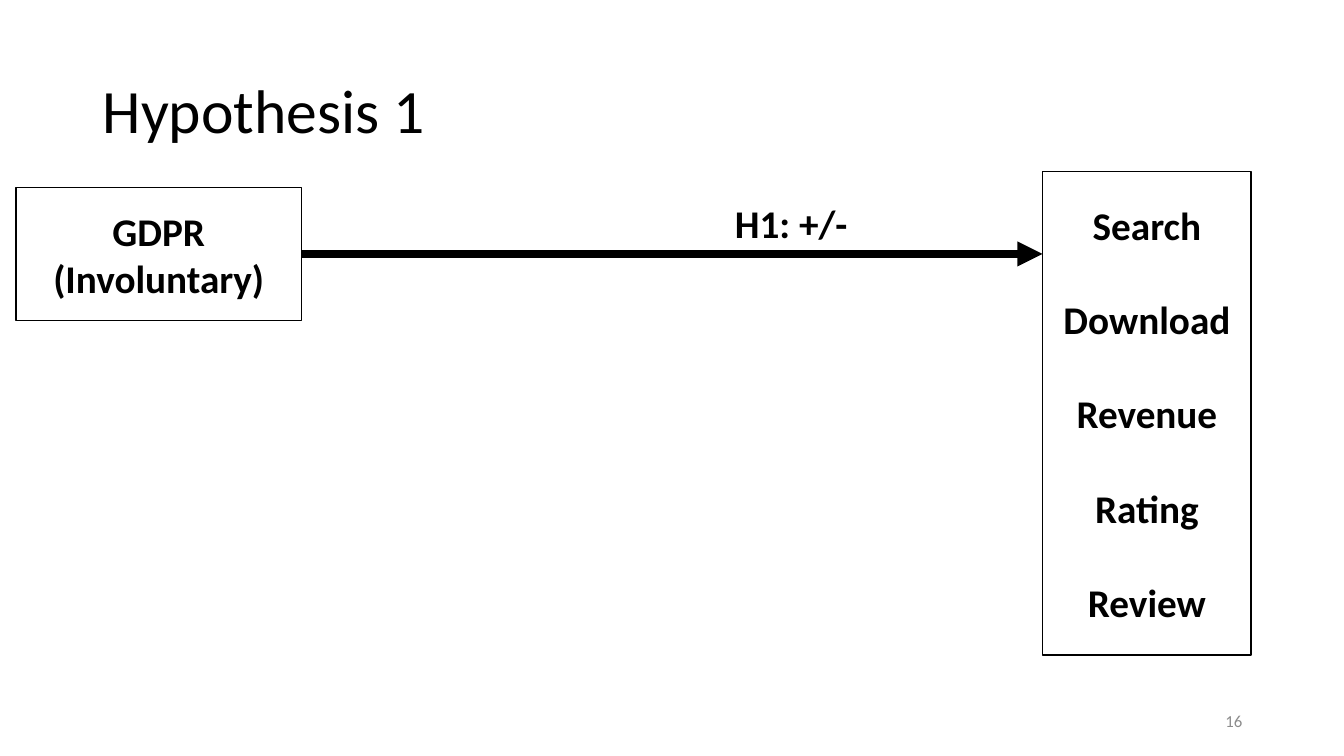
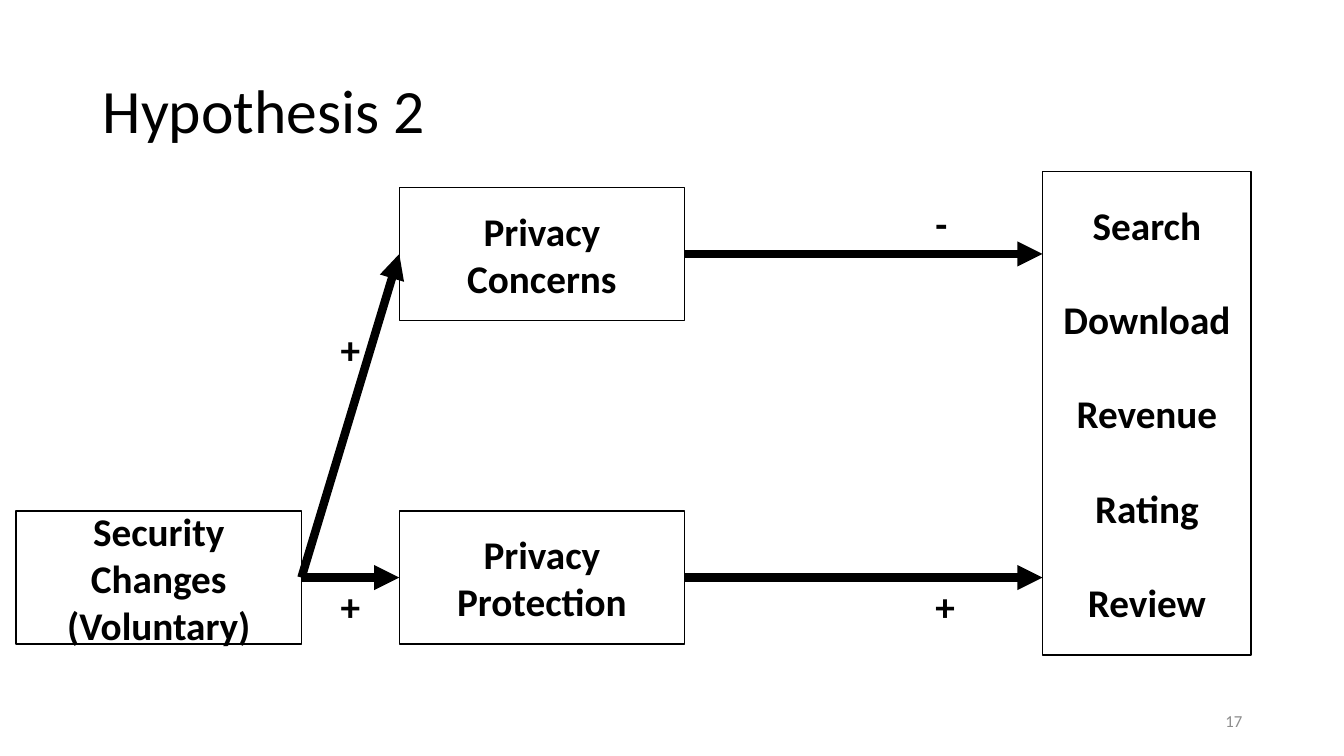
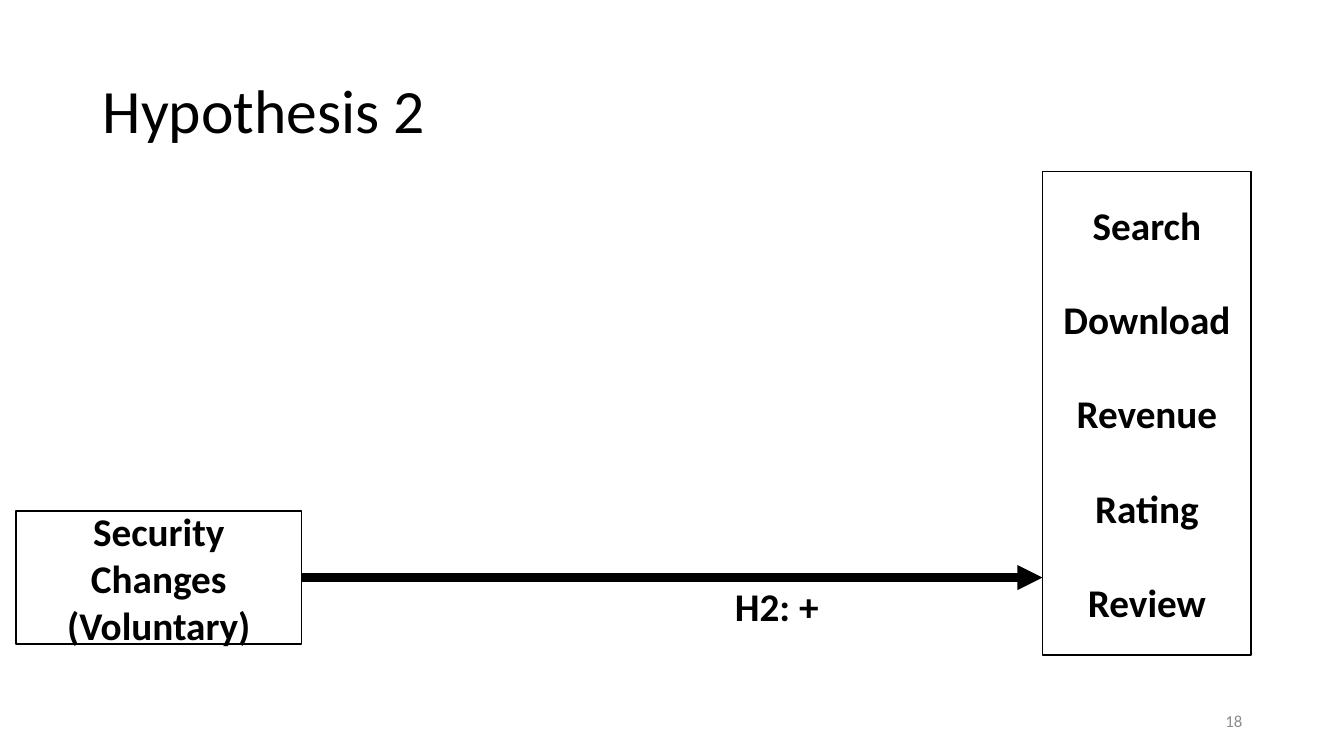
from collections import namedtuple
from dataclasses import dataclass

from pptx import Presentation, util as u
from pptx.dml.color import RGBColor
from pptx.enum import shapes, text
from pptx.oxml import parse_xml
from pptx.oxml.ns import nsdecls, qn


@dataclass(frozen=True)
class Theme:
    font: str = "Calibri"
    ink: str = "000000"
    paper: str = "FFFFFF"
    muted: str = "8C8C8C"
    title: float = 44
    body: float = 28
    small: float = 12
    outline: float = 1
    arrow: float = 6


Box = namedtuple("Box", "x y w h")
T = Theme()

# Grid of the diagram, in inches
SLIDE_W, SLIDE_H = 13.33, 7.5
NODE_W, NODE_H = 2.83, 1.32
COLS = {"cause": 0.16, "mediator": 3.96}
ROWS = {"upper": 1.86, "lower": 5.07}
LABEL_COLS = {"link": 3.28, "hypothesis": 7.19, "sign": 9.18}
LABEL_H = 0.57
TITLE = Box(0.92, 0.4, 11.5, 1.45)
NUMBER = Box(9.42, 6.95, 3, 0.4)
OUTCOME = Box(10.34, 1.7, 2.07, 4.8)
OUTCOMES = ["Search", "Download", "Revenue", "Rating", "Review"]
CENTRE, RIGHT = text.PP_ALIGN.CENTER, text.PP_ALIGN.RIGHT
LEFT_SITE, RIGHT_SITE = 1, 3


def inches(*values):
    return [u.Inches(v) for v in values]


def row_centre(row):
    return ROWS[row] + NODE_H / 2


def write(sp, lines, size=T.body, bold=True, color=T.ink, align=None,
          anchor=text.MSO_ANCHOR.MIDDLE, wrap=True, spacing=None, gap=0):
    tf = sp.text_frame
    tf.word_wrap, tf.vertical_anchor = wrap, anchor
    font = {"name": T.font, "size": u.Pt(size), "bold": bold}
    for i, line in enumerate(lines):
        p = tf.paragraphs[0] if i == 0 else tf.add_paragraph()
        p.alignment, p.line_spacing = align, spacing
        if i and gap:
            p.space_before = u.Pt(gap)
        r = p.add_run()
        r.text = line
        for key, value in font.items():
            setattr(r.font, key, value)
        r.font.color.rgb = RGBColor.from_string(color)


def add_text(s, box, line, **style):
    write(s.shapes.add_textbox(*inches(*box)), [line], **style)


def add_box(s, box, lines, gap=0):
    sp = s.shapes.add_shape(shapes.MSO_SHAPE.RECTANGLE, *inches(*box))
    sp.shadow.inherit = False
    sp.fill.solid()
    sp.fill.fore_color.rgb = RGBColor.from_string(T.paper)
    sp.line.color.rgb = RGBColor.from_string(T.ink)
    sp.line.width = u.Pt(T.outline)
    write(sp, lines, align=CENTRE, gap=gap)
    return sp


def add_node(s, col, row, *lines):
    return add_box(s, Box(COLS[col], ROWS[row], NODE_W, NODE_H), lines)


def add_outcomes(s):
    # One empty line's height between the measures
    add_box(s, OUTCOME, OUTCOMES, gap=1.2 * T.body)


def add_arrow(s, start, end=None):
    """Join two nodes, or run level from a node to the outcomes."""
    y = start.top + start.height // 2
    ln = s.shapes.add_connector(shapes.MSO_CONNECTOR.STRAIGHT,
                                start.left + start.width, y,
                                u.Inches(OUTCOME.x), y)
    ln.begin_connect(start, RIGHT_SITE)
    if end is not None:
        ln.end_connect(end, LEFT_SITE)
    ln.line.color.rgb = RGBColor.from_string(T.ink)
    ln.line.width = u.Pt(T.arrow)
    # Arrowhead, and no shadow
    pr = ln.element.find(qn("p:spPr"))
    pr.find(qn("a:ln")).append(parse_xml(f'<a:tailEnd {nsdecls("a")} type="triangle"/>'))
    pr.append(parse_xml(f'<a:effectLst {nsdecls("a")}/>'))


def add_label(s, col, y, line, w=0.62):
    add_text(s, Box(LABEL_COLS[col], y, w, LABEL_H), line,
             wrap=False, anchor=text.MSO_ANCHOR.TOP)


def above(row):
    return row_centre(row) - LABEL_H - 0.02


def below(row):
    return row_centre(row)


def add_frame(s, title, number):
    add_text(s, TITLE, title, size=T.title, bold=False, spacing=0.9)
    add_text(s, NUMBER, str(number), size=T.small, bold=False, color=T.muted, align=RIGHT)


def add_security(s):
    return add_node(s, "cause", "lower", "Security Changes", "(Voluntary)")


def involuntary(s):
    gdpr = add_node(s, "cause", "upper", "GDPR", "(Involuntary)")
    add_arrow(s, gdpr)
    add_label(s, "hypothesis", above("upper"), "H1: +/-", w=1.43)


def mediated(s):
    security = add_security(s)
    protection = add_node(s, "mediator", "lower", "Privacy Protection")
    concerns = add_node(s, "mediator", "upper", "Privacy Concerns")
    for start, end in [(security, concerns), (security, protection),
                       (concerns, None), (protection, None)]:
        add_arrow(s, start, end)
    for col, y, sign in [("link", below("lower"), "+"),
                         ("link", ROWS["upper"] + NODE_H, "+"),
                         ("sign", above("upper"), "-"),
                         ("sign", below("lower"), "+")]:
        add_label(s, col, y, sign)


def voluntary(s):
    add_arrow(s, add_security(s))
    add_label(s, "hypothesis", below("lower"), "H2: +", w=1.08)


def main():
    prs = Presentation()
    prs.slide_width, prs.slide_height = inches(SLIDE_W, SLIDE_H)
    pages = [("Hypothesis 1", involuntary),
             ("Hypothesis 2", mediated),
             ("Hypothesis 2", voluntary)]
    for number, (title, diagram) in enumerate(pages, start=16):
        s = prs.slides.add_slide(prs.slide_layouts[6])
        add_frame(s, title, number)
        add_outcomes(s)
        diagram(s)
    prs.save("out.pptx")


if __name__ == "__main__":
    main()
